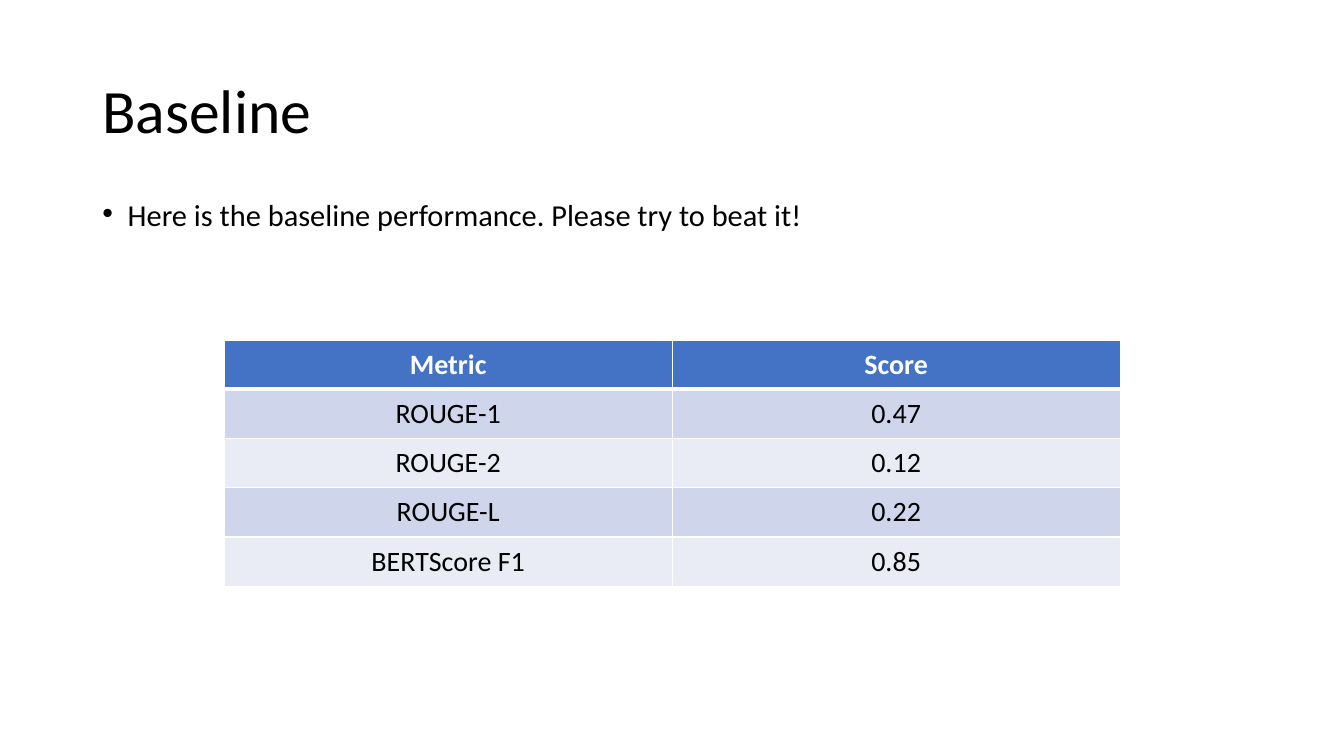
from lxml import etree
from pptx import Presentation
from pptx.dml.color import RGBColor
from pptx.enum import text
from pptx.oxml import ns
from pptx.util import Cm, Pt

FONT = "Calibri"
BLACK = RGBColor(0x00, 0x00, 0x00)
WHITE = RGBColor(0xFF, 0xFF, 0xFF)
HEADER_BLUE = RGBColor(0x44, 0x72, 0xC4)
BANDS = [RGBColor(0xCF, 0xD5, 0xEA), RGBColor(0xE9, 0xEB, 0xF5)]

SCORES = [
    ("Metric", "Score"),
    ("ROUGE-1", "0.47"),
    ("ROUGE-2", "0.12"),
    ("ROUGE-L", "0.22"),
    ("BERTScore F1", "0.85"),
]


def write_text(frame, content, size, color=BLACK, bold=False, align=None, spacing=None):
    """Fill the first paragraph of a text frame and return it."""
    paragraph = frame.paragraphs[0]
    paragraph.alignment = align
    paragraph.line_spacing = spacing
    run = paragraph.add_run()
    run.text = content
    run.font.name = FONT
    run.font.size = Pt(size)
    run.font.bold = bold
    run.font.color.rgb = color
    return paragraph


def add_text_frame(slide, box, anchor):
    frame = slide.shapes.add_textbox(*box).text_frame
    frame.word_wrap = True
    frame.vertical_anchor = anchor
    return frame


def add_title(slide, box, content):
    frame = add_text_frame(slide, box, text.MSO_ANCHOR.MIDDLE)
    write_text(frame, content, 44, spacing=0.9)


def add_bullet(slide, box, content):
    frame = add_text_frame(slide, box, text.MSO_ANCHOR.TOP)
    paragraph = write_text(frame, content, 21.7, spacing=0.7)
    paragraph.space_before = Pt(10)

    # Hanging bullet
    properties = paragraph._p.get_or_add_pPr()
    indent = Cm(0.64)
    properties.set("marL", str(indent))
    properties.set("indent", str(-indent))
    etree.SubElement(properties, ns.qn("a:buFont"), typeface="Arial")
    etree.SubElement(properties, ns.qn("a:buChar"), char="•")


def set_borders(cell, top, bottom):
    """Draw white cell edges; call before the fill is set."""
    properties = cell._tc.get_or_add_tcPr()
    for side, width in (("L", 1), ("R", 1), ("T", top), ("B", bottom)):
        line = etree.SubElement(properties, ns.qn(f"a:ln{side}"), w=str(Pt(width)))
        fill = etree.SubElement(line, ns.qn("a:solidFill"))
        etree.SubElement(fill, ns.qn("a:srgbClr"), val=str(WHITE))


def add_score_table(slide, box, rows):
    table = slide.shapes.add_table(len(rows), len(rows[0]), *box).table
    for row_index, values in enumerate(rows):
        header = row_index == 0
        for column_index, value in enumerate(values):
            cell = table.cell(row_index, column_index)
            set_borders(cell, top=3 if row_index == 1 else 1, bottom=3 if header else 1)
            cell.fill.solid()
            cell.fill.fore_color.rgb = HEADER_BLUE if header else BANDS[(row_index - 1) % 2]
            cell.vertical_anchor = text.MSO_ANCHOR.MIDDLE
            write_text(cell.text_frame, value, 20, bold=header,
                       color=WHITE if header else BLACK, align=text.PP_ALIGN.CENTER)


def main():
    presentation = Presentation()
    presentation.slide_width = Cm(33.87)
    presentation.slide_height = Cm(19.05)
    slide = presentation.slides.add_slide(presentation.slide_layouts[6])

    # Heading and message
    left, width = Cm(2.33), Cm(29.21)
    add_title(slide, (left, Cm(1.01), width, Cm(3.68)), "Baseline")
    add_bullet(slide, (left, Cm(5.07), width, Cm(1.73)),
               "Here is the baseline performance. Please try to beat it!")

    # Baseline scores
    add_score_table(slide, (Cm(5.65), Cm(8.57), Cm(22.58), Cm(6.2)), SCORES)

    presentation.save("out.pptx")


if __name__ == "__main__":
    main()
